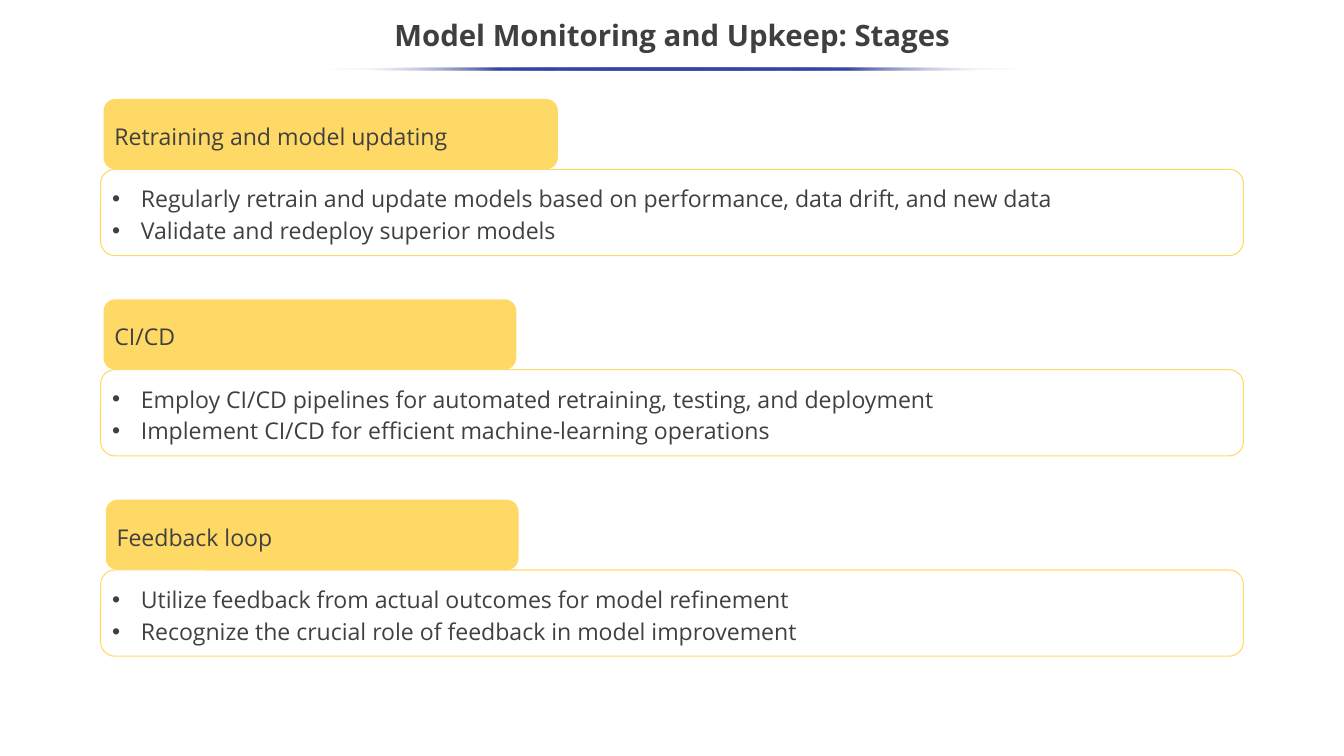
"""Build the slide on the stages of model monitoring and upkeep."""
from dataclasses import dataclass

from lxml.etree import SubElement
from pptx import Presentation
from pptx.dml.color import RGBColor
from pptx.enum.shapes import MSO_SHAPE
from pptx.enum.text import MSO_ANCHOR, PP_ALIGN
from pptx.oxml.ns import qn
from pptx.shapes.autoshape import Shape
from pptx.slide import Slide
from pptx.text.text import _Paragraph as Paragraph
from pptx.util import Inches, Pt


@dataclass(frozen=True)
class Theme:
    """Colours, font and type sizes of the slide."""
    font: str = "Open Sans"
    title_size: int = 28
    body_size: int = 22
    title_color: str = "3F3F3F"
    body_color: str = "404040"
    accent: str = "FFD966"
    rule: str = "3645A9"
    paper: str = "FFFFFF"


@dataclass(frozen=True)
class Stage:
    """A heading tab and the points beneath it."""
    heading: str
    points: tuple[str, ...]
    tab_left: float = 1.37
    tab_width: float = 5.46


THEME = Theme()
SLIDE_WIDTH, SLIDE_HEIGHT = 17.78, 10
FIRST_TOP, STAGE_PITCH = 1.31, 2.65
TAB_HEIGHT = 0.93
PANEL_LEFT, PANEL_WIDTH, PANEL_HEIGHT = 1.33, 15.12, 1.14
BULLET_INDENT = 0.38
STAGES = (
    Stage(
        "Retraining and model updating",
        (
            "Regularly retrain and update models based on performance, data drift, and new data",
            "Validate and redeploy superior models",
        ),
        tab_width=6.01,
    ),
    Stage(
        "CI/CD",
        (
            "Employ CI/CD pipelines for automated retraining, testing, and deployment",
            "Implement CI/CD for efficient machine-learning operations",
        ),
    ),
    Stage(
        "Feedback loop",
        (
            "Utilize feedback from actual outcomes for model refinement",
            "Recognize the crucial role of feedback in model improvement",
        ),
        tab_left=1.4,
    ),
)


def style_paragraph(paragraph: Paragraph, size: int, color: str, spacing: float,
                    align: PP_ALIGN = PP_ALIGN.LEFT, bold: bool = False) -> None:
    """Set the font, spacing and alignment of a paragraph."""
    paragraph.alignment = align
    paragraph.line_spacing = spacing
    font = paragraph.font
    font.name, font.size, font.bold = THEME.font, Pt(size), bold
    font.color.rgb = RGBColor.from_string(color)


def add_bullet(paragraph: Paragraph) -> None:
    """Give a paragraph a round bullet with a hanging indent."""
    properties = paragraph._p.get_or_add_pPr()
    properties.set("marL", str(Inches(BULLET_INDENT)))
    properties.set("indent", str(-Inches(BULLET_INDENT)))
    SubElement(properties, qn("a:buFont"), typeface="Arial")
    SubElement(properties, qn("a:buChar"), char="•")


def add_title(page: Slide, text: str) -> None:
    """Write the centred slide title."""
    box = page.shapes.add_textbox(Inches(0), Inches(0.12), Inches(SLIDE_WIDTH), Inches(0.75))
    frame = box.text_frame
    frame.word_wrap = True
    frame.vertical_anchor = MSO_ANCHOR.MIDDLE
    frame.text = text
    style_paragraph(frame.paragraphs[0], THEME.title_size, THEME.title_color, 0.9,
                    PP_ALIGN.CENTER, bold=True)


def add_title_rule(page: Slide) -> None:
    """Draw the rule under the title, fading out at both ends."""
    rule = page.shapes.add_shape(MSO_SHAPE.OVAL, Inches(4.31), Inches(0.89),
                                 Inches(9.19), Inches(0.04))
    rule.shadow.inherit = False
    rule.line.fill.background()
    rule.fill.gradient()
    rule.fill.gradient_angle = 180
    stops = rule._element.spPr.find(qn("a:gradFill")).find(qn("a:gsLst"))
    for stop in list(stops):
        stops.remove(stop)
    for percent in (0, 25, 50, 75, 100):
        faded = percent in (0, 100)
        stop = SubElement(stops, qn("a:gs"), pos=str(percent * 1000))
        color = SubElement(stop, qn("a:srgbClr"), val=THEME.paper if faded else THEME.rule)
        if faded:
            SubElement(color, qn("a:alpha"), val="0")


def add_rounded_box(page: Slide, left: float, top: float, width: float, height: float,
                    fill: str, lines: tuple[str, ...]) -> Shape:
    """Draw a rounded box holding one paragraph per line."""
    box = page.shapes.add_shape(MSO_SHAPE.ROUNDED_RECTANGLE, Inches(left), Inches(top),
                                Inches(width), Inches(height))
    box.shadow.inherit = False
    box.fill.solid()
    box.fill.fore_color.rgb = RGBColor.from_string(fill)
    box.line.fill.background()
    frame = box.text_frame
    frame.word_wrap = True
    frame.vertical_anchor = MSO_ANCHOR.MIDDLE
    frame.text = "\n".join(lines)
    return box


def add_stage(page: Slide, stage: Stage, top: float) -> None:
    """Draw a stage as a heading tab above an outlined panel."""
    tab = add_rounded_box(page, stage.tab_left, top, stage.tab_width, TAB_HEIGHT,
                          THEME.accent, (stage.heading,))
    panel = add_rounded_box(page, PANEL_LEFT, top + TAB_HEIGHT, PANEL_WIDTH, PANEL_HEIGHT,
                            THEME.paper, stage.points)
    panel.line.color.rgb = RGBColor.from_string(THEME.accent)
    panel.line.width = Pt(1)
    for paragraph in panel.text_frame.paragraphs:
        add_bullet(paragraph)
    for box in (tab, panel):
        for paragraph in box.text_frame.paragraphs:
            style_paragraph(paragraph, THEME.body_size, THEME.body_color, 1.15)


def main() -> None:
    """Build and save the deck."""
    deck = Presentation()
    deck.slide_width, deck.slide_height = Inches(SLIDE_WIDTH), Inches(SLIDE_HEIGHT)
    page = deck.slides.add_slide(deck.slide_layouts[6])
    add_title(page, "Model Monitoring and Upkeep: Stages")
    add_title_rule(page)
    for index, stage in enumerate(STAGES):
        add_stage(page, stage, FIRST_TOP + index * STAGE_PITCH)
    deck.save("out.pptx")


if __name__ == "__main__":
    main()
